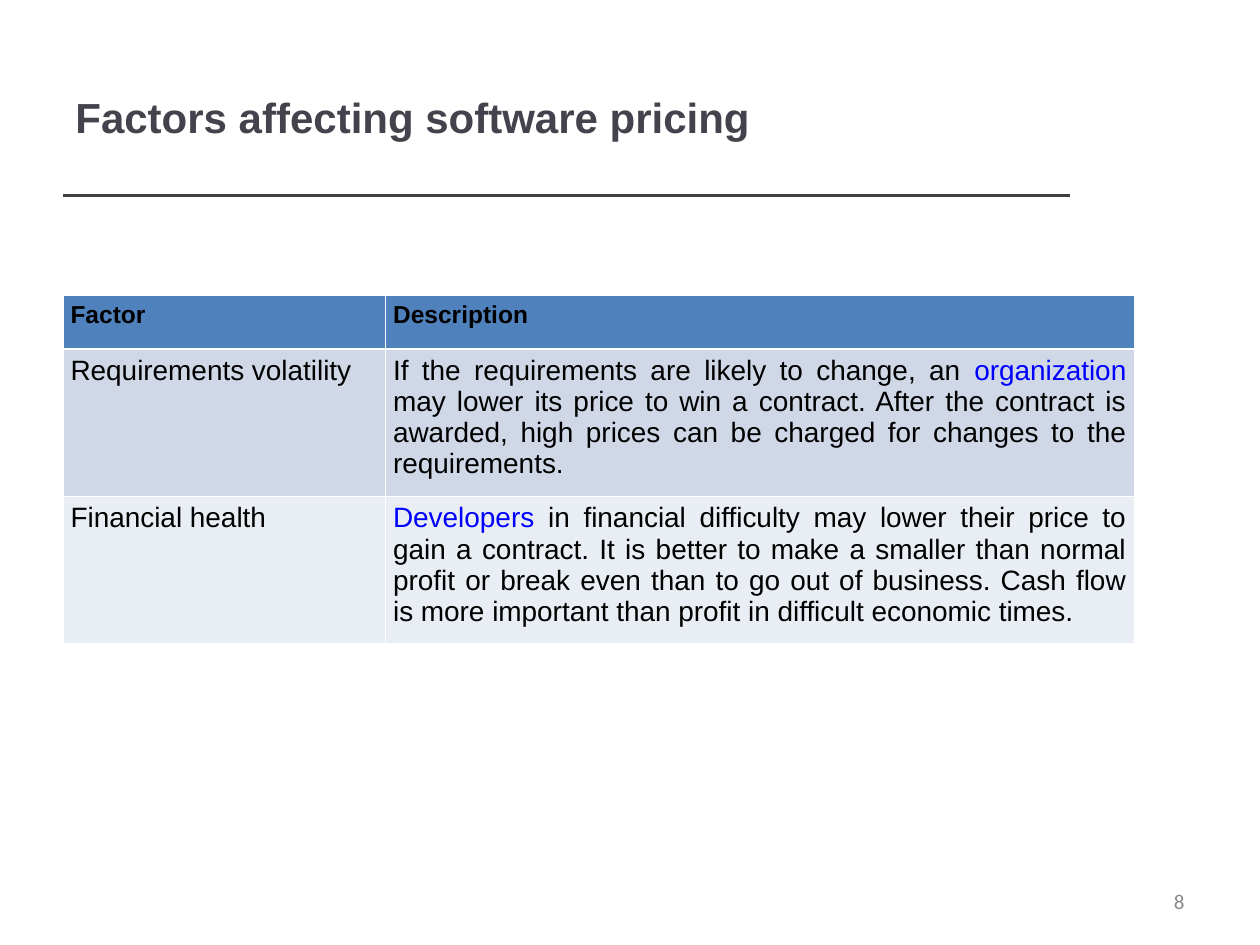
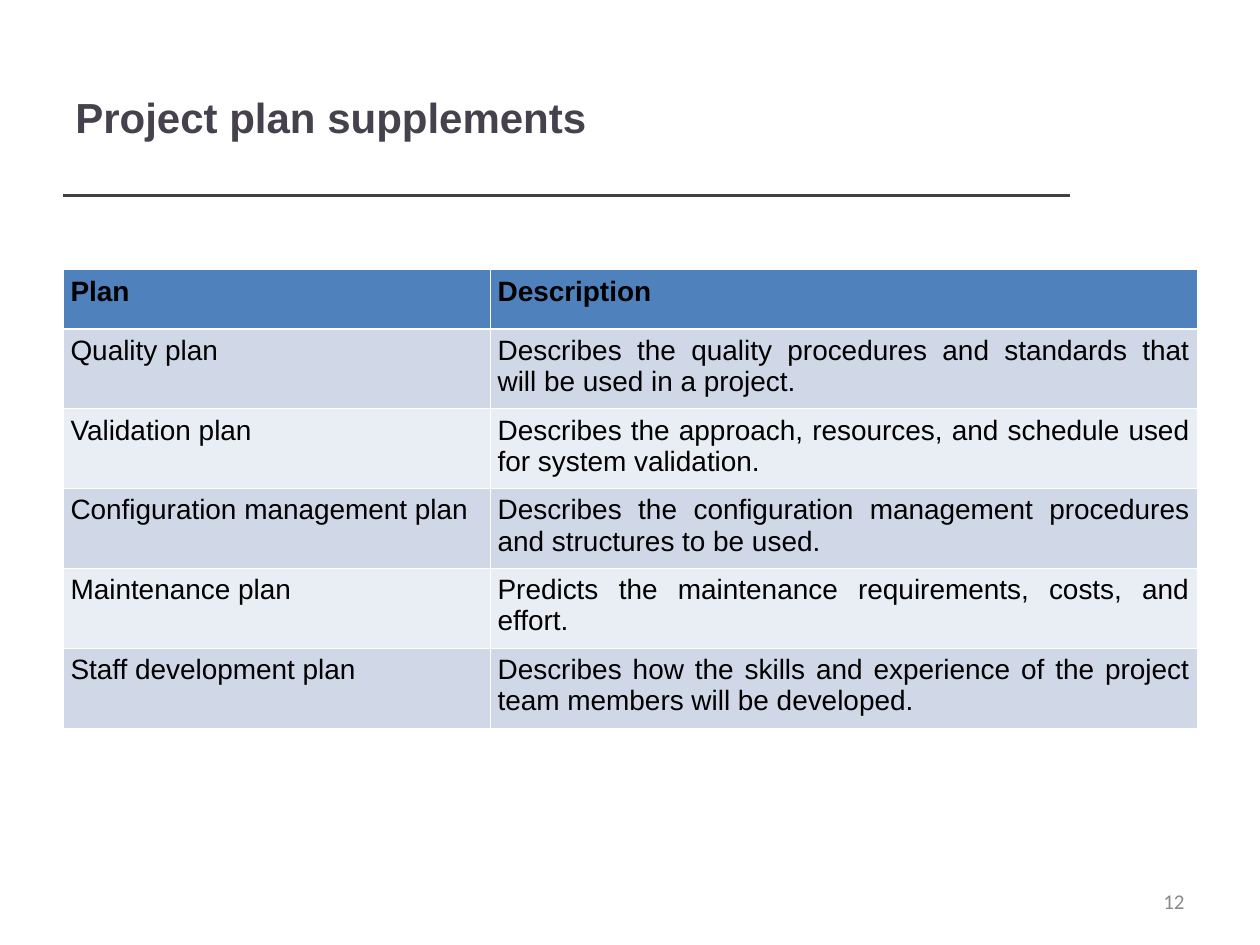
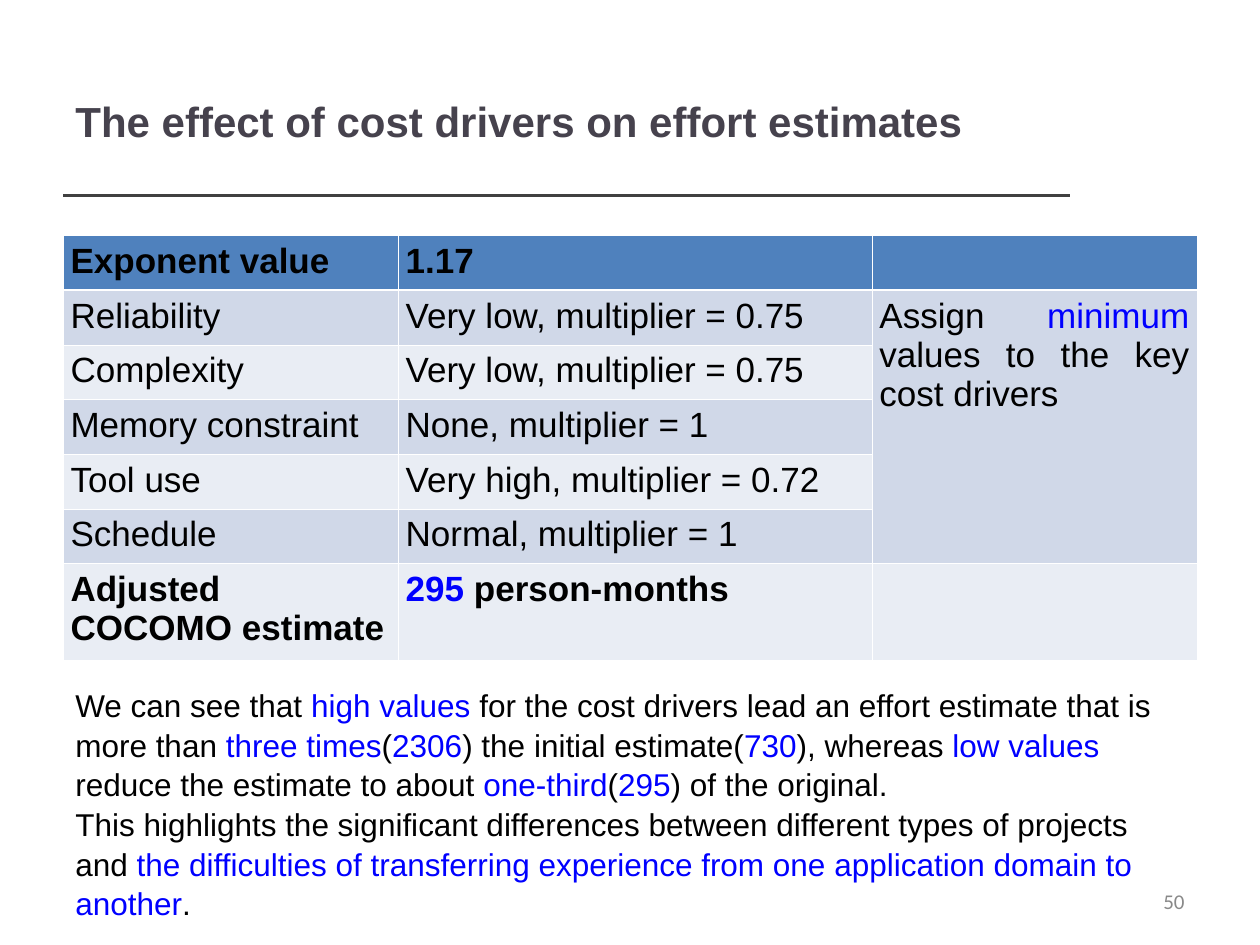
from lxml.etree import SubElement
from pptx import Presentation
from pptx.dml.color import RGBColor
from pptx.enum.shapes import MSO_CONNECTOR
from pptx.enum.text import MSO_ANCHOR, PP_ALIGN
from pptx.oxml.ns import qn
from pptx.util import Inches, Pt


def rgb(color):
    """Turn a hex string into a colour."""
    return RGBColor.from_string(color)


class Deck:
    """Hold the shared style and the slide being built."""

    FONT, NUMBER_FONT = "Arial", "Calibri"
    TITLE, RULE, NUMBER = "46424D", "404040", "898989"
    TEXT, ACCENT, BORDER = "000000", "0000FF", "FFFFFF"
    HEADER, BANDS = "4F81BD", ("D0D8E8", "E9EDF4")
    LEFT = 0.5
    THIN, THICK = 0.45, 1.47

    def __init__(self):
        """Start an empty 10 by 7.5 inch presentation."""
        self.prs = Presentation()
        self.prs.slide_width, self.prs.slide_height = Inches(10), Inches(7.5)
        self.s = None

    def slide(self, title, number, top=0.3):
        """Add a slide with its rule, page number and title."""
        self.s = self.prs.slides.add_slide(self.prs.slide_layouts[6])
        self.rule()
        self.text(7.17, 6.95, 2.33, 0.4, [str(number)], 12, self.NUMBER,
                  font=self.NUMBER_FONT, align=PP_ALIGN.RIGHT, anchor=MSO_ANCHOR.MIDDLE)
        self.text(self.LEFT, top, 7.98, 1.25, [title], 24, self.TITLE,
                  bold=True, anchor=MSO_ANCHOR.MIDDLE)

    def rule(self):
        """Draw the line under the title."""
        y = Inches(1.55)
        c = self.s.shapes.add_connector(MSO_CONNECTOR.STRAIGHT, Inches(self.LEFT), y,
                                        Inches(8.49), y)
        c.line.color.rgb = rgb(self.RULE)
        c.line.width = Pt(2)
        SubElement(c._element.spPr, qn("a:effectLst"))

    def runs(self, p, text, size, color, font=FONT, bold=False):
        """Write text run by run, with the parts between asterisks in the accent colour."""
        for i, part in enumerate(text.split("*")):
            if part:
                r = p.add_run()
                r.text = part
                r.font.name, r.font.size, r.font.bold = font, Pt(size), bold
                r.font.color.rgb = rgb(self.ACCENT if i % 2 else color)

    def text(self, x, y, w, h, paragraphs, size, color=TEXT, font=FONT, bold=False,
             align=PP_ALIGN.LEFT, anchor=MSO_ANCHOR.TOP, spacing=None):
        """Add a wrapped text box."""
        sp = self.s.shapes.add_textbox(Inches(x), Inches(y), Inches(w), Inches(h))
        tf = sp.text_frame
        tf.word_wrap = True
        tf.vertical_anchor = anchor
        for i, text in enumerate(paragraphs):
            p = tf.add_paragraph() if i else tf.paragraphs[0]
            p.alignment, p.line_spacing = align, spacing
            self.runs(p, text, size, color, font, bold)

    def borders(self, cell, top, bottom):
        """Give a cell white borders, with top and bottom widths in points."""
        tcPr = cell._tc.get_or_add_tcPr()
        for side, width in zip("LRTB", (self.THIN, self.THIN, top, bottom)):
            ln = SubElement(tcPr, qn(f"a:ln{side}"), w=str(Pt(width)))
            fill = SubElement(ln, qn("a:solidFill"))
            SubElement(fill, qn("a:srgbClr"), val=self.BORDER)

    def table(self, y, widths, heights, rows, size, header_size=None, bold_rows=(0,),
              left_header=False, space_after=0):
        """Add a banded table with a header row and return it."""
        table = self.s.shapes.add_table(len(rows), len(widths), Inches(self.LEFT), Inches(y),
                                        Inches(sum(widths)), Inches(sum(heights))).table
        for column, width in zip(table.columns, widths):
            column.width = Inches(width)
        for i, (row, height) in enumerate(zip(rows, heights)):
            table.rows[i].height = Inches(height)
            for j, text in enumerate(row):
                cell = table.cell(i, j)
                cell.margin_left = cell.margin_right = Inches(0.06)
                self.borders(cell, self.THICK if i == 1 else self.THIN,
                             self.THIN if i else self.THICK)
                cell.fill.solid()
                cell.fill.fore_color.rgb = rgb(self.BANDS[(i - 1) % 2] if i else self.HEADER)
                p = cell.text_frame.paragraphs[0]
                justified = j or (i == 0 and not left_header)
                p.alignment = PP_ALIGN.JUSTIFY if justified else PP_ALIGN.LEFT
                p.space_after = Pt(space_after)
                self.runs(p, text, size if i else header_size or size, self.TEXT,
                          bold=i in bold_rows)
        return table


def main():
    """Build the three slides."""
    deck = Deck()

    deck.slide("Factors affecting software pricing", 8)
    deck.table(2.34, [2.56, 5.94], [0.43, 1.17, 1.17], [
        ("Factor", "Description"),
        ("Requirements volatility",
         "If the requirements are likely to change, an *organization* may lower its price to win "
         "a contract. After the contract is awarded, high prices can be charged for changes to "
         "the requirements."),
        ("Financial health",
         "*Developers* in financial difficulty may lower their price to gain a contract. It is "
         "better to make a smaller than normal profit or break even than to go out of business. "
         "Cash flow is more important than profit in difficult economic times."),
    ], 16, header_size=14)

    deck.slide("Project plan supplements", 12)
    deck.table(2.14, [3.39, 5.61], [0.47] + [0.63] * 5, [
        ("Plan", "Description"),
        ("Quality plan",
         "Describes the quality procedures and standards that will be used in a project."),
        ("Validation plan",
         "Describes the approach, resources, and schedule used for system validation."),
        ("Configuration management plan",
         "Describes the configuration management procedures and structures to be used."),
        ("Maintenance plan", "Predicts the maintenance requirements, costs, and effort."),
        ("Staff development plan",
         "Describes how the skills and experience of the project team members will be "
         "developed."),
    ], 16)

    deck.slide("The effect of cost drivers on effort estimates", 50, top=0.33)
    drivers = deck.table(1.87, [2.66, 3.76, 2.58], [0.43] * 2 + [0.41] * 4 + [0.77], [
        ("Exponent value", "1.17", ""),
        ("Reliability", "Very low, multiplier = 0.75",
         "Assign *minimum* values to the key cost drivers"),
        ("Complexity", "Very low, multiplier = 0.75", ""),
        ("Memory constraint", "None, multiplier = 1", ""),
        ("Tool use", "Very high, multiplier = 0.72", ""),
        ("Schedule", "Normal, multiplier = 1", ""),
        ("Adjusted COCOMO estimate", "*295* person-months", ""),
    ], 20, bold_rows=(0, 6), left_header=True, space_after=3)
    drivers.cell(1, 2).merge(drivers.cell(5, 2))
    deck.text(deck.LEFT, 5.38, 9, 1.9, [
        "We can see that *high values *for the cost drivers lead an effort estimate that is more "
        "than *three times*(*2306*) the initial estimate(*730*), whereas *low values *reduce the "
        "estimate to about *one-third*(*295*) of the original.",
        "This highlights the significant differences between different types of projects and "
        "*the difficulties of transferring experience from one application domain to another*.",
    ], 18, spacing=1.05)

    deck.prs.save("out.pptx")


if __name__ == "__main__":
    main()
